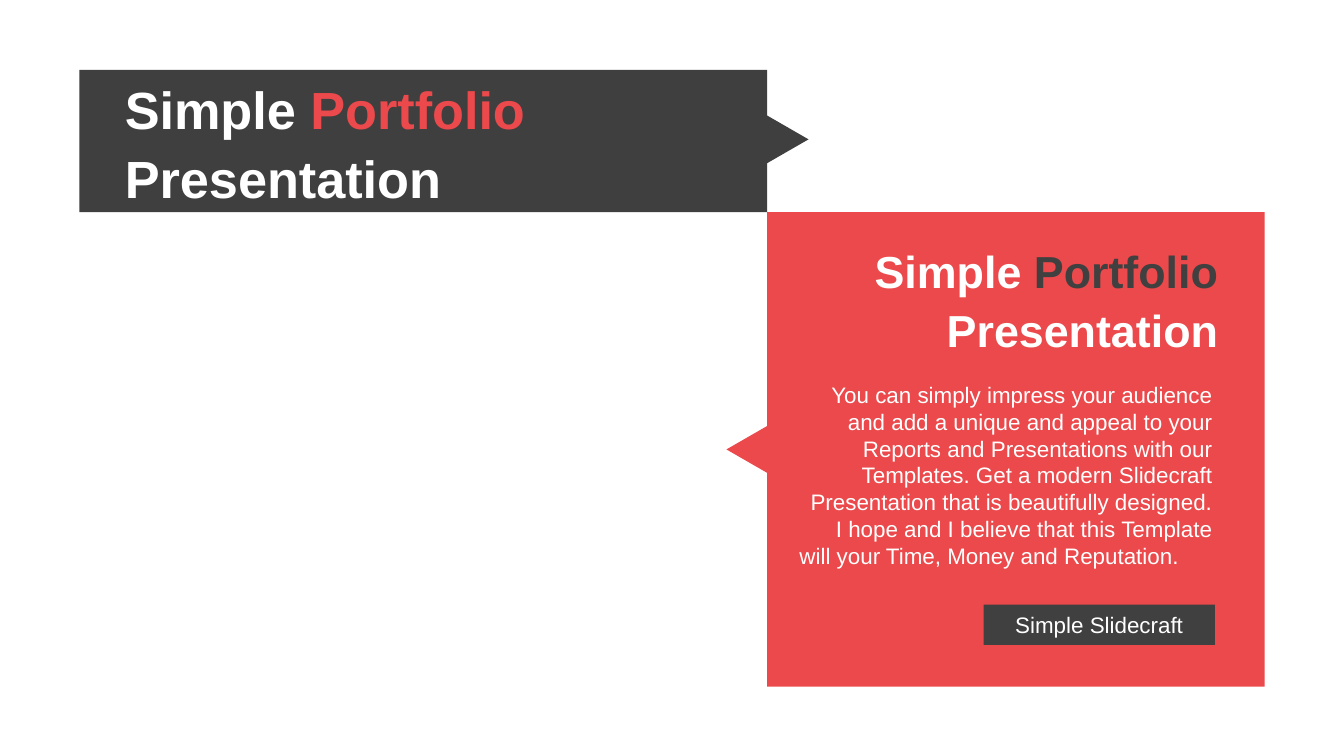
import pptx
import pptx.util
import pptx.dml.color
import pptx.enum.shapes
import pptx.enum.text

Cm, Pt = pptx.util.Cm, pptx.util.Pt
KIND = pptx.enum.shapes.MSO_SHAPE
ALIGN = pptx.enum.text.PP_ALIGN
HUES = {"red": "EB494B", "dark": "3F3F3F", "gray": "404040", "white": "FFFFFF"}


class Deck:
    """Hold the style and the current slide, and add elements to it."""

    def __init__(self):
        self.show = pptx.Presentation()
        self.show.slide_width, self.show.slide_height = Cm(25.4), Cm(14.29)
        self.slide = self.show.slides.add_slide(self.show.slide_layouts[6])
        self.base = {"name": "Arial", "size": Pt(12), "bold": False}

    def hue(self, name):
        return pptx.dml.color.RGBColor.from_string(HUES[name])

    def shape(self, kind, place, fill, turn=0):
        item = self.slide.shapes.add_shape(kind, *map(Cm, place))
        item.shadow.inherit = False
        item.fill.solid()
        item.fill.fore_color.rgb = self.hue(fill)
        item.line.fill.background()
        item.rotation = turn
        return item

    def box(self, place):
        return self.slide.shapes.add_textbox(*map(Cm, place))

    def label(self, item, paras, font=None, para=None):
        frame = item.text_frame
        frame.word_wrap = True
        frame.vertical_anchor = pptx.enum.text.MSO_ANCHOR.MIDDLE
        for i, (align, runs) in enumerate(paras):
            line = frame.add_paragraph() if i else frame.paragraphs[0]
            for key, value in {"alignment": align, **(para or {})}.items():
                setattr(line, key, value)
            for text, color in runs:
                run = line.add_run()
                run.text = text
                for key, value in {**self.base, **(font or {})}.items():
                    setattr(run.font, key, value)
                run.font.color.rgb = self.hue(color)

    def title(self, place, size, align, accent):
        runs = [("Simple ", "white"), ("Portfolio ", accent), ("Presentation", "white")]
        self.label(self.box(place), [(align, runs)],
                   {"size": Pt(size), "bold": True},
                   {"line_spacing": 1.1, "space_before": Pt(size * 0.2)})


def main():
    deck = Deck()
    deck.shape(KIND.RECTANGLE, (14.5, 4.01, 9.4, 8.97), "red")
    deck.shape(KIND.RECTANGLE, (1.5, 1.32, 13, 2.69), "dark")
    deck.shape(KIND.ISOSCELES_TRIANGLE, (13.67, 8.1, 0.91, 0.79), "red", 270)
    deck.title((14.86, 4.34, 8.41, 2.57), 24, ALIGN.RIGHT, "gray")

    body = ("You can simply impress your audience and add a unique and appeal to your "
            "Reports and Presentations with our Templates. Get a modern Slidecraft "
            "Presentation that is beautifully designed. I hope and I believe that "
            "this Template")
    close = "will your Time, Money and Reputation."
    deck.label(deck.box((14.86, 7.06, 8.31, 3.84)),
               [(ALIGN.RIGHT, [(body, "white")]), (ALIGN.LEFT, [(close, "white")])])

    button = deck.shape(KIND.RECTANGLE, (18.59, 11.43, 4.37, 0.76), "gray")
    deck.label(button, [(ALIGN.CENTER, [("Simple Slidecraft", "white")])])
    deck.title((2.11, 1.37, 11.2, 2.57), 28, ALIGN.LEFT, "red")
    deck.shape(KIND.ISOSCELES_TRIANGLE, (14.43, 2.24, 0.91, 0.79), "dark", 90)
    deck.show.save("out.pptx")


if __name__ == "__main__":
    main()
